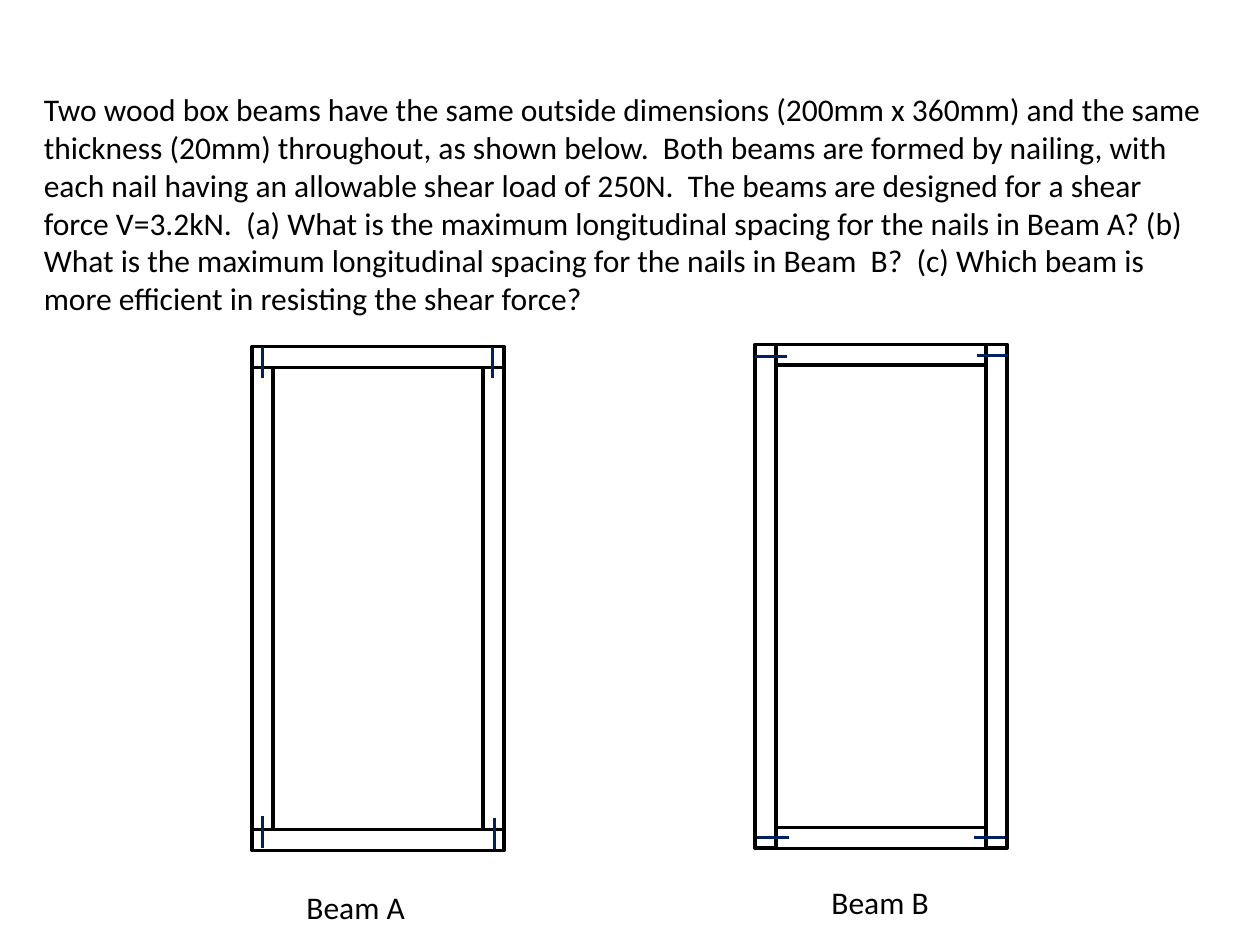
from pptx import Presentation
from pptx.dml.color import RGBColor
from pptx.enum.shapes import MSO_CONNECTOR, MSO_SHAPE
from pptx.enum.text import MSO_AUTO_SIZE
from pptx.oxml.ns import qn
from pptx.util import Pt
from lxml import etree

RECT = MSO_SHAPE.RECTANGLE
LINE = MSO_CONNECTOR.STRAIGHT
GROW = MSO_AUTO_SIZE.SHAPE_TO_FIT_TEXT
BLACK = RGBColor(0x00, 0x00, 0x00)
NAVY = RGBColor(0x00, 0x20, 0x60)

# Beam section at 0.8 pt per mm: 200 x 360 outside, walls 20 thick
WIDE, HIGH = 144, 288
WALL = 12
NAIL = 18

prs = Presentation()
prs.slide_width, prs.slide_height = Pt(720), Pt(540)
slide = prs.slides.add_slide(prs.slide_layouts[6])
shapes = slide.shapes


def add_text(text, left, top, width, height, wrap):
    box = shapes.add_textbox(Pt(left), Pt(top), Pt(width), Pt(height))
    frame = box.text_frame
    frame.word_wrap = wrap
    frame.auto_size = GROW
    para = frame.paragraphs[0]
    para.text = text
    para.font.name = "Calibri"
    para.font.size = Pt(18)
    para.font.color.rgb = BLACK


# Beam A: full-width flanges, webs between them
left, top = 144, 198
low, right = top + HIGH - WALL, left + WIDE - WALL
boards = [(left, y, WIDE, WALL) for y in (top, low)]
boards += [(x, top + WALL, WALL, HIGH - 2 * WALL) for x in (left, right)]

# Beam B: full-height webs, flanges between them
left, top = 431.5, 196.75
low, right = top + HIGH - WALL, left + WIDE - WALL
boards += [(left + WALL, y, WIDE - 2 * WALL, WALL) for y in (top, low)]
boards += [(x, top, WALL, HIGH) for x in (left, right)]

for x, y, width, height in boards:
    board = shapes.add_shape(RECT, Pt(x), Pt(y), Pt(width), Pt(height))
    board.shadow.inherit = False
    board.fill.background()
    board.line.color.rgb = BLACK
    board.line.width = Pt(2)

# Nails: upright in beam A, level in beam B
nails = [(x, y, 0, NAIL) for x, y in
         ((150, 198), (150, 466.5), (281.5, 198), (282.75, 467.25))]
nails += [(x, y, NAIL, 0) for x, y in
          ((431.5, 203.75), (558, 203), (432.75, 478.75), (556.5, 478.75))]
for x, y, run, drop in nails:
    nail = shapes.add_connector(LINE, Pt(x), Pt(y), Pt(x + run), Pt(y + drop))
    nail.line.color.rgb = NAVY
    nail.line.width = Pt(1.5)
    etree.SubElement(nail._element.spPr, qn("a:effectLst"))

# Problem statement
add_text(
    "Two wood box beams have the same outside dimensions (200mm x 360mm) "
    "and the same thickness (20mm) throughout, as shown below.  Both beams "
    "are formed by nailing, with each nail having an allowable shear load of "
    "250N.  The beams are designed for a shear force V=3.2kN.  (a) What is "
    "the maximum longitudinal spacing for the nails in Beam A? (b) What is "
    "the maximum longitudinal spacing for the nails in Beam  B?  (c) Which "
    "beam is more efficient in resisting the shear force?",
    18, 48, 678, 138, True)

# Beam labels
add_text("Beam A", 168, 504, 71, 29, False)
add_text("Beam B", 468, 501, 71, 29, False)

prs.save("out.pptx")
